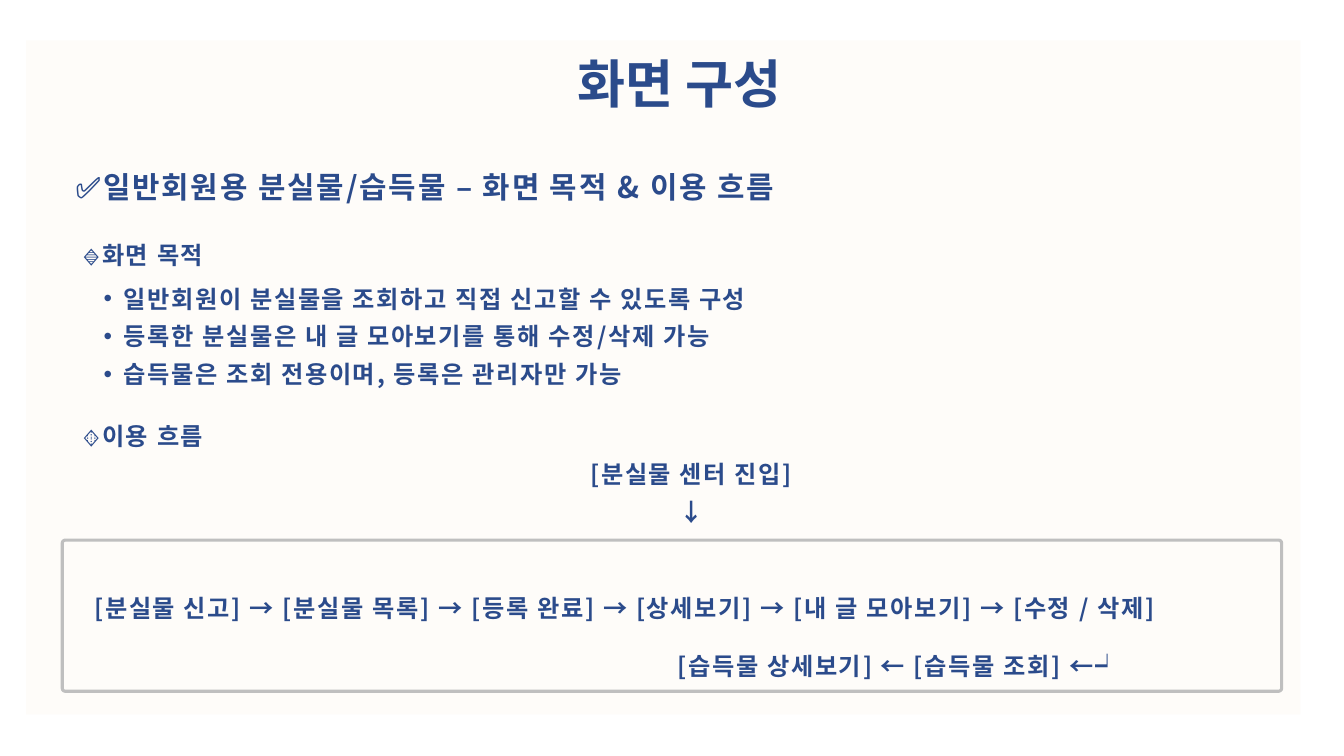
"""Build the screen layout slide: purpose and usage flow of the lost-and-found pages."""
from lxml.etree import SubElement
from pptx import Presentation
from pptx.dml.color import RGBColor
from pptx.enum.shapes import MSO_SHAPE as SHAPE
from pptx.enum.text import MSO_ANCHOR, MSO_AUTO_SIZE, PP_ALIGN as ALIGN
from pptx.oxml.ns import qn
from pptx.util import Cm, Pt

FONT = "Noto Sans CJK KR"
COLORS = {"text": "2B4B8B", "panel": "FEFCF9", "frame": "BFBFBF"}
LINE = Pt(26.9)

TITLE = "화면 구성"
HEADING = "✅일반회원용 분실물/습득물 – 화면 목적 & 이용 흐름"
PURPOSE = "🔹화면 목적"
POINTS = [
    ("일반회원이 분실물을 조회하고 직접 신고할 수 있도록 구성", 1.5),
    ("등록한 분실물은 내 글 모아보기를 통해 수정/삭제 가능", LINE),
    ("습득물은 조회 전용이며, 등록은 관리자만 가능", LINE),
]
USAGE = "🔸이용 흐름"
ENTRY = ["[분실물 센터 진입]", "↓"]
LOST_STEPS = ["분실물 신고", "분실물 목록", "등록 완료", "상세보기", "내 글 모아보기", "수정 / 삭제"]
FOUND_STEPS = ["습득물 상세보기", "습득물 조회"]

BOXES = {
    "panel": (0.66, 1.02, 32.11, 16.98),
    "frame": (1.57, 13.61, 30.73, 3.81),
    "title": (9.32, 1.02, 15.6, 1.85),
    "heading": (1.9, 3.99, 22.28, 1.17),
    "purpose": (2.08, 5.69, 21.34, 4.14),
    "usage": (2.08, 10.41, 30.68, 2.85),
    "flow": (2.08, 14.21, 30.68, 3.0),
}
STYLES = {"title": (37.3, 0), "heading": (21.3, 1.4), "body": (17.3, 1.2)}


def place(name):
    return [Cm(v) for v in BOXES[name]]


def rgb(name):
    return RGBColor.from_string(COLORS[name])


def para(text, spacing, align=ALIGN.LEFT, indent=0.0, bullet=False):
    return {"text": text, "spacing": spacing, "align": align,
            "indent": indent, "bullet": bullet}


def write(sp, style, paras):
    tf = sp.text_frame
    frame = {"word_wrap": True, "auto_size": MSO_AUTO_SIZE.NONE,
             "vertical_anchor": MSO_ANCHOR.TOP, "margin_left": 0,
             "margin_right": 0, "margin_top": 0, "margin_bottom": 0}
    for key, value in frame.items():
        setattr(tf, key, value)
    size, tracking = STYLES[style]
    for i, item in enumerate(paras):
        p = tf.add_paragraph() if i else tf.paragraphs[0]
        p_format = {"alignment": item["align"], "line_spacing": item["spacing"],
                    "space_before": Pt(0), "level": int(item["bullet"])}
        for key, value in p_format.items():
            setattr(p, key, value)
        pPr = p._p.get_or_add_pPr()
        pPr.set("marL", str(Cm(item["indent"])))
        if item["bullet"]:
            pPr.set("indent", str(Cm(-0.51)))
            SubElement(pPr, qn("a:buFont")).set("typeface", "Arial")
            SubElement(pPr, qn("a:buChar")).set("char", "•")
        r = p.add_run()
        r.text = item["text"]
        for key, value in {"name": FONT, "size": Pt(size), "bold": True}.items():
            setattr(r.font, key, value)
        r.font.color.rgb = rgb("text")
        rPr = r._r.get_or_add_rPr()
        rPr.set("spc", str(round(tracking * 100)))
        SubElement(rPr, qn("a:ea")).set("typeface", FONT)


def chain(steps, arrow):
    return arrow.join(f"[{step}]" for step in steps)


def main():
    prs = Presentation()
    prs.slide_width, prs.slide_height = Cm(33.87), Cm(19.05)
    s = prs.slides.add_slide(prs.slide_layouts[5])
    shapes = s.shapes

    panel = shapes.add_shape(SHAPE.RECTANGLE, *place("panel"))
    panel.shadow.inherit = False
    panel.fill.solid()
    panel.fill.fore_color.rgb = rgb("panel")
    panel.line.fill.background()

    frame = shapes.add_shape(SHAPE.ROUNDED_RECTANGLE, *place("frame"))
    frame.shadow.inherit = False
    frame.adjustments[0] = 0.02
    frame.fill.background()
    frame.line.color.rgb = rgb("frame")
    frame.line.width = Pt(2.25)

    title = shapes.title
    title.left, title.top, title.width, title.height = place("title")
    shapes._spTree.append(title._element)
    write(title, "title", [para(TITLE, Pt(52.3), ALIGN.CENTER)])

    texts = {
        "heading": [para(HEADING, Pt(33.1))],
        "purpose": [para(PURPOSE, 1.5, ALIGN.JUSTIFY)]
        + [para(t, gap, ALIGN.JUSTIFY, 1.04, True) for t, gap in POINTS],
        "usage": [para(USAGE, LINE)] + [para(t, LINE, ALIGN.CENTER) for t in ENTRY],
        "flow": [para(chain(LOST_STEPS, " → "), 2.0, indent=0.3),
                 para(chain(FOUND_STEPS, " ← ") + " ←┙", 2.0, indent=15.0)],
    }
    for name, paras in texts.items():
        style = name if name in STYLES else "body"
        write(shapes.add_textbox(*place(name)), style, paras)

    prs.save("out.pptx")


if __name__ == "__main__":
    main()
